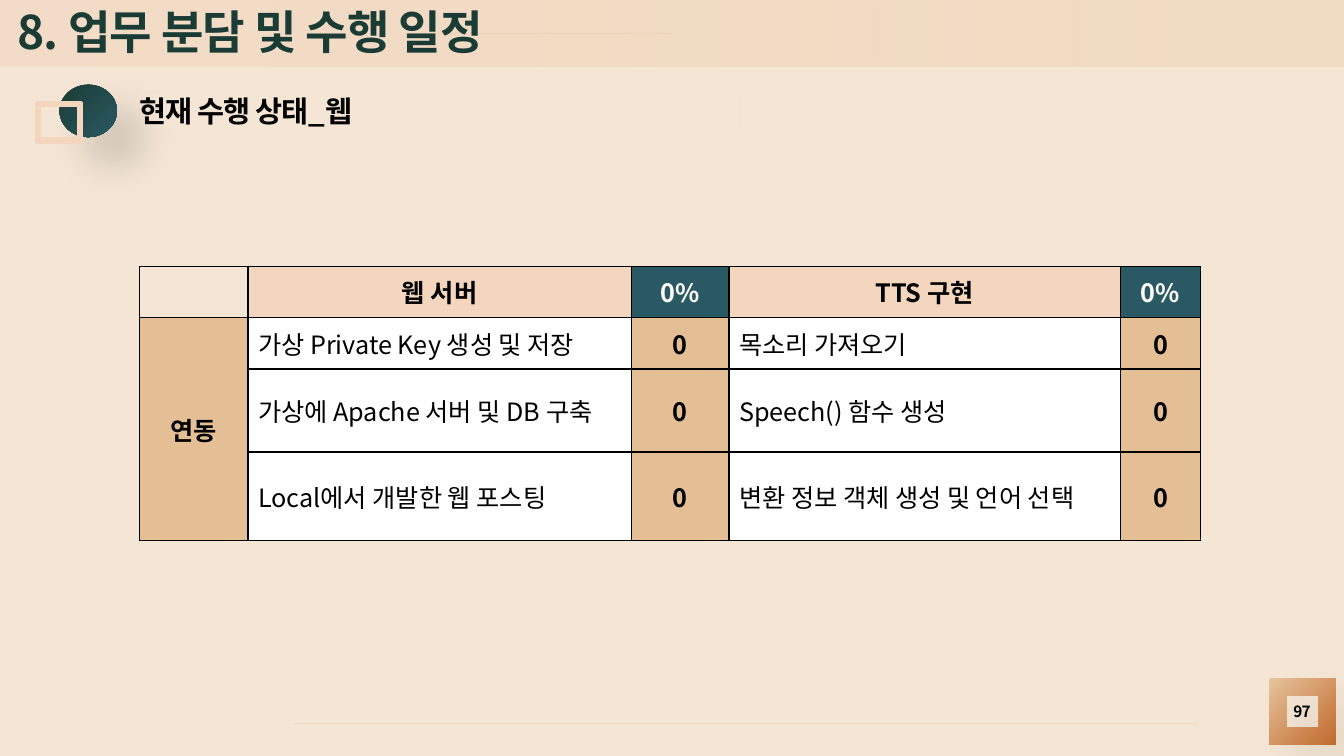
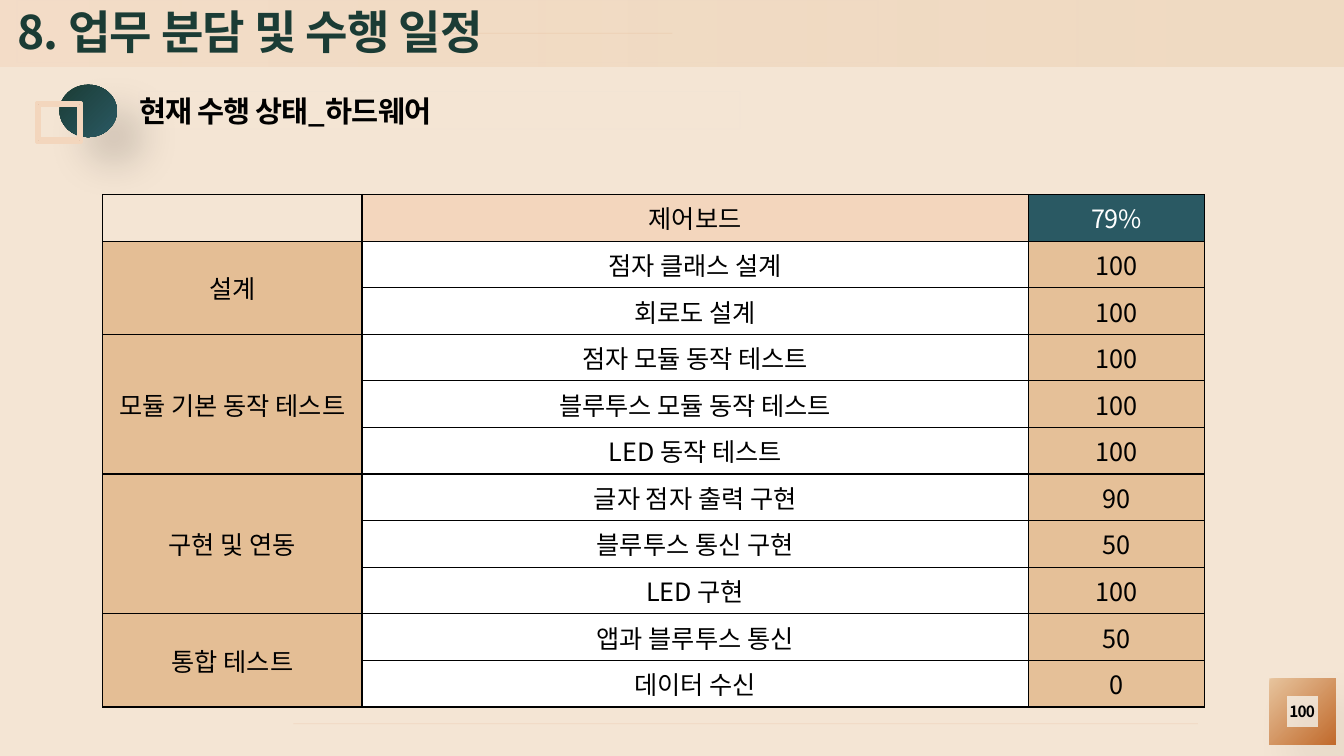
from pptx import Presentation
from pptx import util as u
from pptx.dml.color import RGBColor
from pptx.enum import shapes, text
from pptx.oxml import parse_xml
from pptx.oxml.ns import nsdecls, qn

FONT = "Noto Sans CJK KR"
BLACK = RGBColor(0x00, 0x00, 0x00)
WHITE = RGBColor(0xFF, 0xFF, 0xFF)
CREAM = RGBColor(0xF4, 0xE5, 0xD4)
SAND = RGBColor(0xE7, 0xC4, 0x9D)
BLUSH = RGBColor(0xF3, 0xD5, 0xBB)
PEACH = RGBColor(0xF3, 0xD6, 0xBD)
RUST = RGBColor(0xC1, 0x6A, 0x2C)
APRICOT = RGBColor(0xE3, 0xAB, 0x83)
CLAY = RGBColor(0xE4, 0xC2, 0xA9)
TAN = RGBColor(0xE4, 0xBE, 0x95)
LIGHT_TAN = RGBColor(0xE5, 0xC0, 0x98)
GREEN = RGBColor(0x1B, 0x3C, 0x35)
TEAL = RGBColor(0x2A, 0x59, 0x63)
GREY = RGBColor(0xD9, 0xD9, 0xD9)

LEFT, CENTER = text.PP_ALIGN.LEFT, text.PP_ALIGN.CENTER
MIDDLE = text.MSO_ANCHOR.MIDDLE
FRAME, OVAL = shapes.MSO_SHAPE.FRAME, shapes.MSO_SHAPE.OVAL
TITLE = "8. 업무 분담 및 수행 일정"


def set_alpha(clr, percent):
    clr.append(parse_xml(f'<a:alpha {nsdecls("a")} val="{percent * 1000}"/>'))


def outline(sp, color, width, alpha=100):
    sp.line.color.rgb = color
    sp.line.width = u.Pt(width)
    if alpha < 100:
        ln = sp._element.spPr.find(qn("a:ln"))
        set_alpha(next(ln.iter(qn("a:srgbClr"))), alpha)


def write(tf, content, size, color=BLACK, bold=True, align=LEFT, spacing=0):
    p = tf.paragraphs[0]
    p.alignment = align
    r = p.add_run()
    r.text = content
    formats = {"name": FONT, "size": u.Pt(size), "bold": bold}
    for name, value in formats.items():
        setattr(r.font, name, value)
    r.font.color.rgb = color
    rPr = r._r.get_or_add_rPr()
    rPr.find(qn("a:latin")).addnext(
        parse_xml(f'<a:ea {nsdecls("a")} typeface="{FONT}"/>'))
    if spacing:
        rPr.set("spc", str(round(spacing * 100)))


def fill_box(sp, content, size, **formats):
    tf = sp.text_frame
    settings = {"word_wrap": True, "auto_size": text.MSO_AUTO_SIZE.NONE,
                "vertical_anchor": MIDDLE, "margin_left": 0,
                "margin_right": 0, "margin_top": 0, "margin_bottom": 0}
    for name, value in settings.items():
        setattr(tf, name, value)
    write(tf, content, size, spacing=-0.6, **formats)


def place(sp, *box):
    for name, value in zip(("left", "top", "width", "height"), box):
        setattr(sp, name, u.Inches(value))


def add_label(s, box, content, size, **formats):
    sp = s.shapes.add_textbox(*map(u.Inches, box))
    fill_box(sp, content, size, **formats)
    return sp


def add_shape(s, kind, box, adj=None):
    sp = s.shapes.add_shape(kind, *map(u.Inches, box))
    sp.shadow.inherit = False
    sp.line.fill.background()
    if adj is not None:
        sp.adjustments[0] = adj
    return sp


def add_gradient(sp, stops, clockwise):
    sp.fill.gradient()
    sp.fill.gradient_angle = (360 - clockwise) % 360
    for stop, (color, alpha) in zip(sp.fill.gradient_stops, stops):
        stop.color.rgb = color
        if alpha < 100:
            set_alpha(next(stop._gs.iter(qn("a:srgbClr"))), alpha)


def add_shadow(sp, alpha):
    effects = sp._element.spPr.find(qn("a:effectLst"))
    effects.append(parse_xml(
        f'<a:outerShdw {nsdecls("a")} blurRad="{u.Pt(30)}" dist="{u.Pt(26)}" '
        f'dir="2700000" algn="tl" rotWithShape="0"><a:srgbClr val="{BLACK}">'
        f'<a:alpha val="{alpha * 1000}"/></a:srgbClr></a:outerShdw>'))


def add_rule(s, x1, x2, y):
    line = s.shapes.add_connector(
        shapes.MSO_CONNECTOR.STRAIGHT, *map(u.Inches, (x1, y, x2, y)))
    outline(line, APRICOT, 0.5, 24)
    line._element.spPr.append(parse_xml(f'<a:effectLst {nsdecls("a")}/>'))
    return line


def decorate_layout(layout, s):
    layout.background.fill.solid()
    layout.background.fill.fore_color.rgb = CREAM
    for ph in list(layout.placeholders)[1:]:
        ph._element.getparent().remove(ph._element)
    band = add_shape(s, FRAME, (0, 0, 13.33, 0.66), 0.5)
    add_gradient(band, [(SAND, 31), (BLUSH, 50)], 180)
    title_rule = add_rule(s, 4.01, 6.67, 0.33)
    badge = add_shape(s, FRAME, (12.59, 6.73, 0.66, 0.66), 0.265)
    add_gradient(badge, [(SAND, 100), (RUST, 100)], 45)
    add_shadow(badge, 8)
    footer_rule = add_rule(s, 2.91, 11.88, 7.18)
    for sp in (band, title_rule, badge, footer_rule):
        layout.shapes._spTree.append(sp._element)


def add_heading(s, subtitle, number):
    title = s.shapes.title
    place(title, 0.17, 0, 8.54, 0.62)
    fill_box(title, TITLE, 33, color=GREEN)
    outline(title, GREY, 0.25, 5)
    add_label(s, (12.6, 6.95, 0.63, 0.22), number, 11, align=CENTER)
    dot = add_shape(s, OVAL, (0.59, 0.84, 0.57, 0.52))
    add_gradient(dot, [(GREEN, 100), (TEAL, 100)], 45)
    add_shadow(dot, 17)
    marker = add_shape(s, FRAME, (0.36, 1.02, 0.45, 0.39), 0.078)
    marker.fill.solid()
    marker.fill.fore_color.rgb = CLAY
    outline(marker, PEACH, 2.25)
    sp = add_label(s, (1.38, 0.91, 5.96, 0.37), subtitle, 21)
    outline(sp, GREY, 0.25, 5)


def add_borders(cell):
    tcPr = cell._tc.get_or_add_tcPr()
    for side in "LRTB":
        tcPr.append(parse_xml(
            f'<a:ln{side} {nsdecls("a")} w="{u.Pt(1)}"><a:solidFill>'
            f'<a:srgbClr val="{BLACK}"/></a:solidFill></a:ln{side}>'))


def cell_fill(row, col, rate_color):
    if col == 0:
        return TAN if row else None
    is_task = col % 2 == 1
    if row == 0:
        return PEACH if is_task else TEAL
    return WHITE if is_task else rate_color


def add_progress_table(s, left, top, cols, heights, header, groups,
                       rate_color=TAN, bold=False, task_align=CENTER):
    rows = [("", *header)]
    spans = []
    for name, tasks in groups:
        spans.append((len(rows), len(rows) + len(tasks) - 1))
        rows += [(name if i == 0 else "", *task)
                 for i, task in enumerate(tasks)]
    frame = s.shapes.add_table(
        len(rows), len(cols), u.Inches(left), u.Inches(top),
        u.Inches(sum(cols)), u.Inches(sum(heights)))
    table = frame.table
    table.first_row = table.horz_banding = False
    for column, width in zip(table.columns, cols):
        column.width = u.Inches(width)
    for row, height in zip(table.rows, heights):
        row.height = u.Inches(height)
    for i, values in enumerate(rows):
        for j, value in enumerate(values):
            cell = table.cell(i, j)
            cell.vertical_anchor = MIDDLE
            add_borders(cell)
            color = cell_fill(i, j, rate_color)
            if color is None:
                cell.fill.background()
            else:
                cell.fill.solid()
                cell.fill.fore_color.rgb = color
            if value:
                is_task = i > 0 and j % 2 == 1
                write(cell.text_frame, value, 18,
                      color=WHITE if color == TEAL else BLACK,
                      bold=bold and not is_task,
                      align=task_align if is_task else CENTER)
    for first, last in spans:
        table.cell(first, 0).merge(table.cell(last, 0))


def add_web_status(s):
    add_heading(s, "현재 수행 상태_웹", "97")
    add_progress_table(
        s, 1.38, 2.64, [1.08, 3.8, 0.97, 3.88, 0.8], [0.51] * 3 + [0.88],
        ("웹 서버", "0%", "TTS 구현", "0%"),
        [("연동", [
            ("가상 Private Key 생성 및 저장", "0", "목소리 가져오기", "0"),
            ("가상에 Apache 서버 및 DB 구축", "0", "Speech() 함수 생성", "0"),
            ("Local에서 개발한 웹 포스팅", "0",
             "변환 정보 객체 생성 및 언어 선택", "0")])],
        bold=True, task_align=LEFT)


def add_hardware_status(s):
    add_heading(s, "현재 수행 상태_하드웨어", "100")
    add_progress_table(
        s, 1.02, 1.93, [2.57, 6.61, 1.75], [0.29] + [0.43] * 10,
        ("제어보드", "79%"),
        [("설계", [("점자 클래스 설계", "100"), ("회로도 설계", "100")]),
         ("모듈 기본 동작 테스트", [
             ("점자 모듈 동작 테스트", "100"),
             ("블루투스 모듈 동작 테스트", "100"),
             ("LED 동작 테스트", "100")]),
         ("구현 및 연동", [
             ("글자 점자 출력 구현", "90"),
             ("블루투스 통신 구현", "50"),
             ("LED 구현", "100")]),
         ("통합 테스트", [("앱과 블루투스 통신", "50"), ("데이터 수신", "0")])],
        rate_color=LIGHT_TAN)


def main():
    prs = Presentation()
    prs.slide_width, prs.slide_height = u.Inches(13.33), u.Inches(7.5)
    layout = prs.slide_layouts.get_by_name("Title Only")
    web, hardware = (prs.slides.add_slide(layout) for _ in range(2))
    decorate_layout(layout, web)
    add_web_status(web)
    add_hardware_status(hardware)
    prs.save("out.pptx")


if __name__ == "__main__":
    main()
